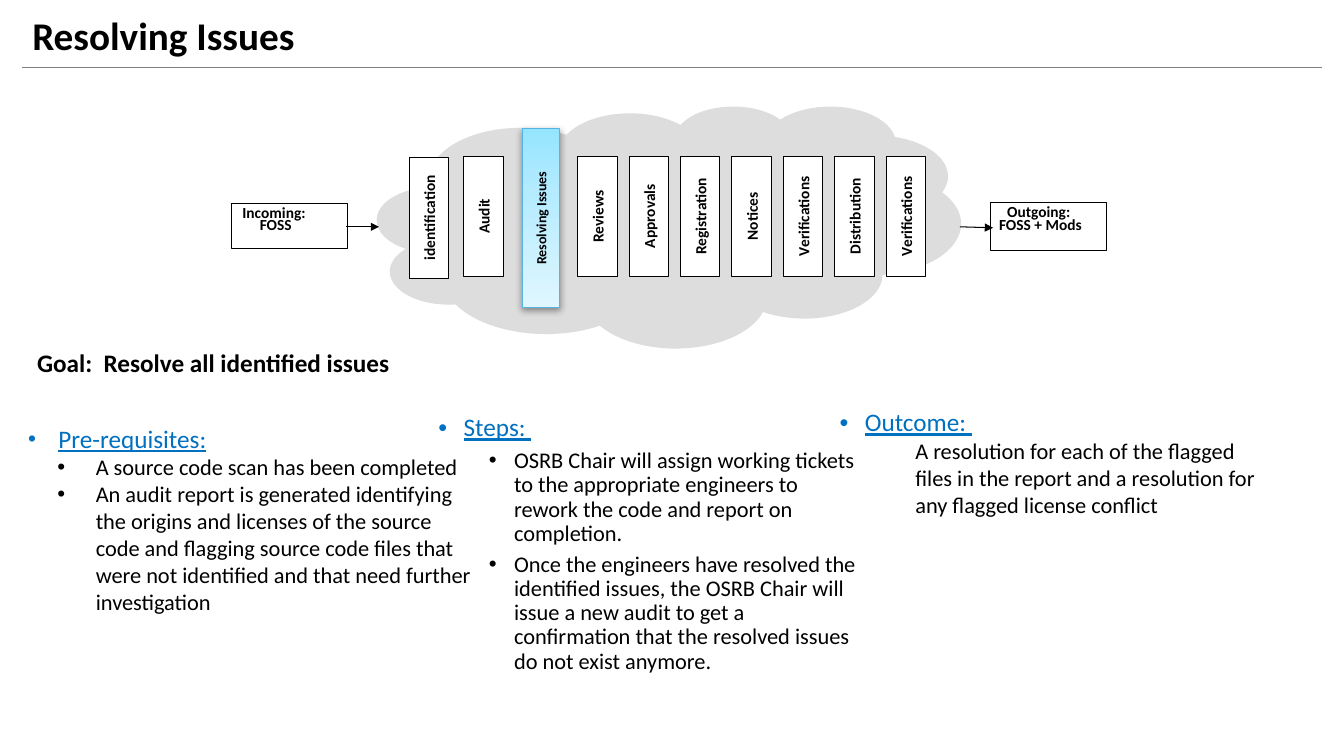
from copy import deepcopy

from lxml.etree import SubElement
from pptx import Presentation
from pptx.dml.color import RGBColor
from pptx.enum.shapes import MSO_CONNECTOR as Connector, MSO_SHAPE as Shape
from pptx.enum.text import MSO_ANCHOR as Anchor, PP_ALIGN as Align
from pptx.oxml.ns import qn
from pptx.util import Inches, Pt

BLACK, WHITE, BLUE = "000000", "FFFFFF", "0070C0"
STAGES = ["Reviews", "Approvals", "Registration", "Notices", "Verifications",
          "Distribution", "Verifications"]
PREREQUISITES = [
    "A source code scan has been completed",
    "An audit report is generated identifying the origins and licenses of the "
    "source code and flagging source code files that were not identified and "
    "that need further investigation",
]
STEPS = [
    "OSRB Chair will assign working tickets to the appropriate engineers to "
    "rework the code and report on completion.",
    "Once the engineers have resolved the identified issues, the OSRB Chair "
    "will issue a new audit to get a confirmation that the resolved issues do "
    "not exist anymore.",
]
OUTCOME = ["A resolution for each of the flagged files in the report and a "
           "resolution for any flagged license conflict"]


def paint(color_format, color):
    """Set a colour from a hex string."""
    color_format.rgb = RGBColor.from_string(color)


def set_font(para, size, color=BLACK, bold=False, underline=False):
    """Format the text of a paragraph."""
    font = para.font
    font.name, font.size = "Calibri", Pt(size)
    font.bold, font.underline = bold, underline
    paint(font.color, color)


def set_insets(frame, left, top, right, bottom):
    """Set the inner margins of a text frame in inches."""
    frame.margin_left, frame.margin_top = Inches(left), Inches(top)
    frame.margin_right, frame.margin_bottom = Inches(right), Inches(bottom)


def add_line(slide, start, end, color=BLACK, width=0.75, arrow=False):
    """Draw a straight line, with an arrowhead at its end if asked."""
    line = slide.shapes.add_connector(
        Connector.STRAIGHT, *map(Inches, start + end))
    paint(line.line.color, color)
    line.line.width = Pt(width)
    if arrow:
        SubElement(line.line._get_or_add_ln(), qn("a:tailEnd"), type="triangle")
    SubElement(line._element.spPr, qn("a:effectLst"))


def add_block(slide, kind, place, fill, outline=None):
    """Add a filled shape without a shadow."""
    block = slide.shapes.add_shape(kind, *map(Inches, place))
    block.shadow.inherit = False
    block.fill.solid()
    paint(block.fill.fore_color, fill)
    if outline:
        paint(block.line.color, outline)
        block.line.width = Pt(0.75)
    else:
        block.line.fill.background()
    return block


def add_stage(slide, name, place, size=11, outline=BLACK):
    """Add a process stage whose label reads upwards."""
    stage = add_block(slide, Shape.RECTANGLE, place, WHITE, outline)
    frame = stage.text_frame
    frame.vertical_anchor = Anchor.MIDDLE
    frame._txBody.bodyPr.set("vert", "vert270")
    para = frame.paragraphs[0]
    para.text, para.alignment = name, Align.CENTER
    set_font(para, size, bold=True)
    return stage


def highlight(stage):
    """Give the current stage a blue gradient and a soft shadow."""
    stage.fill.gradient()
    stage.fill.gradient_angle = 270
    stop_list = stage._element.spPr.find(".//" + qn("a:gsLst"))
    stop_list.insert(1, deepcopy(stop_list[0]))
    looks = [(0, "95E5FF"), (0.35, "B4EBFF"), (1, "E0F7FF")]
    for stop, (position, color) in zip(stage.fill.gradient_stops, looks):
        stop.position = position
        paint(stop.color, color)
    effects = stage._element.spPr.find(qn("a:effectLst"))
    shadow = SubElement(effects, qn("a:outerShdw"), blurRad=str(Pt(5)),
                        dist=str(Pt(1.6)), dir="5400000", rotWithShape="0")
    tint = SubElement(shadow, qn("a:srgbClr"), val=BLACK)
    SubElement(tint, qn("a:alpha"), val="38000")


def add_endpoint(slide, lines, place, insets, spacing):
    """Add a box for what enters or leaves the process."""
    frame = add_block(slide, Shape.RECTANGLE, place, WHITE, BLACK).text_frame
    frame.vertical_anchor = Anchor.TOP
    set_insets(frame, *insets)
    frame.text = "\n".join(lines)
    for para in frame.paragraphs:
        para.alignment, para.line_spacing = Align.CENTER, spacing
        set_font(para, 11, bold=True)


def set_indent(para, left, hanging, color, bullet=True, bullet_size=100):
    """Indent a paragraph and give it a bullet if asked."""
    props = para._p.get_or_add_pPr()
    props.set("marL", str(Inches(left)))
    props.set("indent", str(-Inches(hanging)))
    if bullet:
        tint = SubElement(props, qn("a:buClr"))
        SubElement(tint, qn("a:srgbClr"), val=color)
        SubElement(props, qn("a:buSzPct"), val=str(bullet_size * 1000))
        SubElement(props, qn("a:buFont"), typeface="Arial")
        SubElement(props, qn("a:buChar"), char="•")
    else:
        SubElement(props, qn("a:buNone"))


def add_text(slide, place, wrap=True):
    """Add a text box and return its frame."""
    frame = slide.shapes.add_textbox(*map(Inches, place)).text_frame
    frame.word_wrap = wrap
    return frame


def add_column(slide, place, heading, items, head_indent=(0.25, 0.25),
               head_spacing=0.9, bullet_size=100, item_indent=(0.75, 0.25),
               item_spacing=1.0, item_before=0, level=0, bullets=True):
    """Add a column with an underlined heading and its items."""
    frame = add_text(slide, place)
    para = frame.paragraphs[0]
    para.text = heading
    set_indent(para, *head_indent, BLUE, bullet_size=bullet_size)
    para.line_spacing, para.space_before = head_spacing, Pt(10)
    set_font(para, 18, BLUE, underline=True)
    for item in items:
        para = frame.add_paragraph()
        para.text, para.level = item, level
        set_indent(para, *item_indent, BLACK, bullets)
        para.line_spacing, para.space_before = item_spacing, Pt(item_before)
        set_font(para, 16)
    return frame


def add_title(slide, text):
    """Place the title above its rule."""
    title = slide.shapes.title
    title.left, title.top = Inches(0.22), Inches(0.08)
    title.width, title.height = Inches(12.76), Inches(0.59)
    title.text_frame.vertical_anchor = Anchor.MIDDLE
    para = title.text_frame.paragraphs[0]
    para.text, para.alignment, para.line_spacing = text, Align.LEFT, 0.9
    set_font(para, 28, bold=True)
    add_line(slide, (0.22, 0.67), (13.11, 0.67), "808080", 1)


def add_process(slide):
    """Draw the cloud, its stages and what flows in and out."""
    cloud = add_block(slide, Shape.CLOUD_CALLOUT, (3.74, 1.05, 5.79, 2.4), "DDDDDD")
    cloud.adjustments[0], cloud.adjustments[1] = -0.246, 0.157
    add_endpoint(slide, ["Incoming: ", "FOSS"], (2.3, 2.02, 1.15, 0.45),
                 (0.02, 0.05, 0.3, 0.05), 0.65)
    add_endpoint(slide, ["Outgoing: ", "FOSS + Mods"], (9.82, 2.01, 1.15, 0.48),
                 (0.05, 0.05, 0.2, 0.05), 0.7)
    add_line(slide, (3.43, 2.25), (3.76, 2.25), arrow=True)
    add_line(slide, (9.52, 2.25), (9.85, 2.26), arrow=True)
    highlight(add_stage(slide, "Resolving Issues", (5.18, 1.28, 0.37, 1.77),
                        10, "55B4E5"))
    add_stage(slide, "identification", (4.06, 1.56, 0.39, 1.2))
    add_stage(slide, "Audit", (4.6, 1.55, 0.39, 1.19))
    for index, name in enumerate(STAGES):
        add_stage(slide, name, (5.73 + 0.51 * index, 1.55, 0.39, 1.19))


def main():
    """Build the slide and save the deck."""
    deck = Presentation()
    deck.slide_width, deck.slide_height = Inches(13.33), Inches(7.5)
    slide = deck.slides.add_slide(deck.slide_layouts[5])
    add_title(slide, "Resolving Issues")
    add_process(slide)
    frame = add_column(slide, (0, 3.85, 4.88, 3.26), "Pre-requisites:",
                       PREREQUISITES, (0.3, 0.3), 1.5, 90, (0.67, 0.38))
    set_insets(frame, 0.28, 0.2, 0.2, 0.24)
    add_column(slide, (8.23, 4.02, 4.42, 2.52), "Outcome: ", OUTCOME,
               item_indent=(0.75, 0), bullets=False)
    add_column(slide, (4.25, 4.07, 4.42, 2.86), "Steps: ", STEPS,
               item_spacing=0.9, item_before=5, level=1)
    goal = add_text(slide, (0.27, 3.4, 3.72, 0.4), wrap=False).paragraphs[0]
    goal.text = "Goal:  Resolve all identified issues"
    set_font(goal, 18, bold=True)
    deck.save("out.pptx")


if __name__ == "__main__":
    main()
